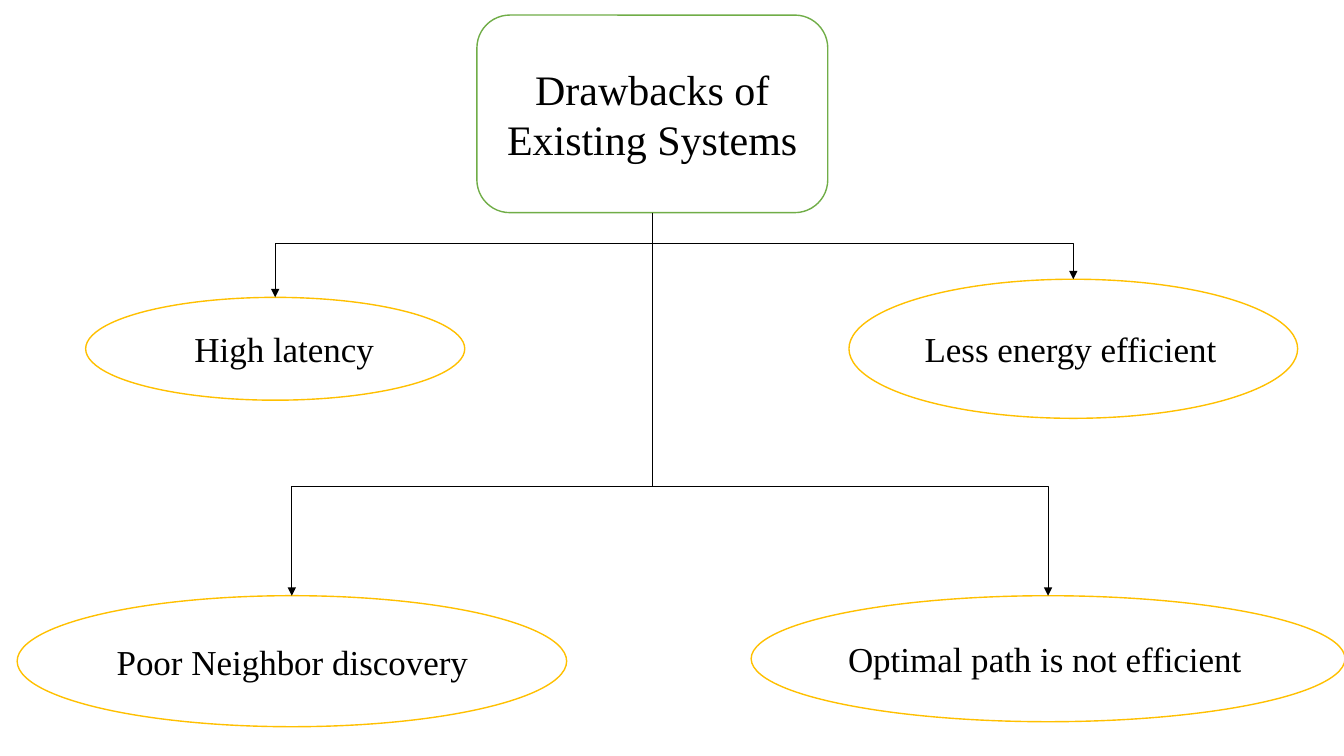
from pptx import Presentation
from pptx.dml.color import RGBColor
from pptx.enum.shapes import MSO_CONNECTOR as CONN, MSO_SHAPE as SHAPE
from pptx.enum.text import MSO_ANCHOR, PP_ALIGN
from pptx.oxml.ns import qn
from pptx.util import Inches, Pt
from lxml import etree

COLORS = {"white": "FFFFFF", "black": "000000", "green": "70AD47", "amber": "FFC000"}
FONT = "Times New Roman"
TOP, BOTTOM = 0, 2  # connection sites of the title box
TRUNK_X = 6.47
UPPER_Y, LOWER_Y = 2.41, 4.82

# text, (left, top, width, height), text indent, height of the branch
DRAWBACKS = [
    ("High latency", (0.85, 2.95, 3.76, 1.02), 0.43, UPPER_Y),
    ("Less energy efficient", (8.42, 2.77, 4.45, 1.38), 0, UPPER_Y),
    ("Poor Neighbor discovery", (0.17, 5.91, 5.45, 1.3), 0.09, LOWER_Y),
    ("Optimal path is not efficient", (7.45, 5.91, 5.89, 1.25), 0, LOWER_Y),
]


def rgb(name):
    return RGBColor.from_string(COLORS[name])


def add_node(s, kind, box, text, size, outline, align=PP_ALIGN.LEFT, indent=0):
    sp = s.shapes.add_shape(kind, *map(Inches, box))
    sp.shadow.inherit = False
    sp.fill.solid()
    sp.fill.fore_color.rgb = rgb("white")
    sp.line.color.rgb = rgb(outline)
    sp.line.width = Pt(1)
    tf = sp.text_frame
    tf.word_wrap = True
    tf.vertical_anchor = MSO_ANCHOR.MIDDLE
    p = tf.paragraphs[0]
    p.alignment = align
    if indent:
        p._p.get_or_add_pPr().set("marL", str(Inches(indent)))
    r = p.add_run()
    r.text = text
    for name, value in {"name": FONT, "size": Pt(size)}.items():
        setattr(r.font, name, value)
    r.font.color.rgb = rgb("black")
    return sp


def add_line(s, kind, start, end):
    line = s.shapes.add_connector(kind, *map(Inches, start + end))
    line.line.color.rgb = rgb("black")
    line.line.width = Pt(0.5)
    etree.SubElement(line._element.spPr, qn("a:effectLst"))
    return line


def add_branch(s, y, node, box):
    """Run sideways from the trunk, then down to the top of the node."""
    left, top, width, _ = box
    branch = add_line(s, CONN.ELBOW, (TRUNK_X, y), (left + width / 2, top))
    branch._element.spPr.find(qn("a:prstGeom")).set("prst", "bentConnector2")
    branch.end_connect(node, TOP)
    etree.SubElement(branch.line._get_or_add_ln(), qn("a:tailEnd"), type="triangle")


def main():
    prs = Presentation()
    prs.slide_width, prs.slide_height = Inches(13.33), Inches(7.5)
    s = prs.slides.add_slide(prs.slide_layouts[6])

    title = add_node(s, SHAPE.FLOWCHART_ALTERNATE_PROCESS, (4.73, 0.15, 3.48, 1.96),
                     "Drawbacks of Existing Systems", 30, "green", PP_ALIGN.CENTER)
    trunk = add_line(s, CONN.STRAIGHT, (TRUNK_X, 2.11), (TRUNK_X, LOWER_Y))
    trunk.begin_connect(title, BOTTOM)

    for text, box, indent, branch_y in DRAWBACKS:
        node = add_node(s, SHAPE.OVAL, box, text, 25, "amber", indent=indent)
        add_branch(s, branch_y, node, box)

    prs.save("out.pptx")


if __name__ == "__main__":
    main()
